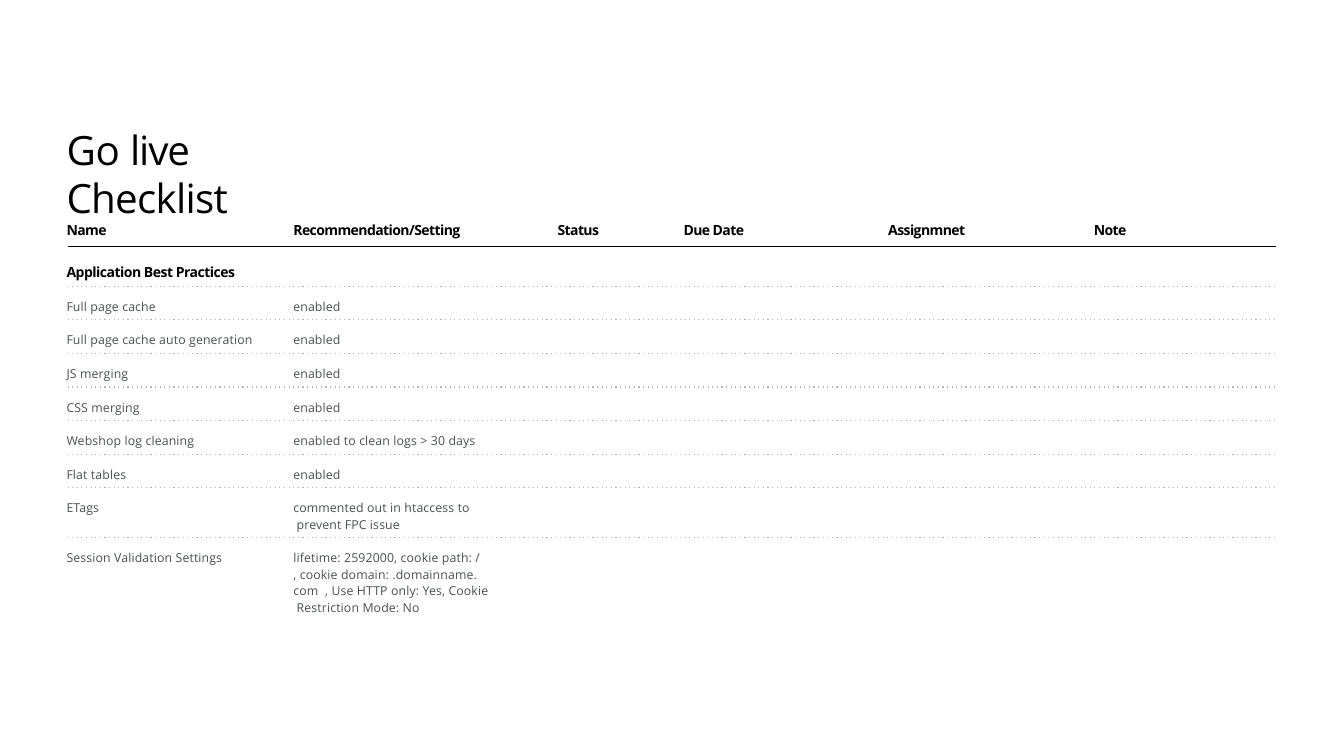
from lxml import etree
from pptx import Presentation
from pptx.dml.color import RGBColor
from pptx.enum.dml import MSO_LINE
from pptx.enum.shapes import MSO_CONNECTOR
from pptx.enum.text import MSO_ANCHOR, MSO_AUTO_SIZE, PP_ALIGN
from pptx.oxml.ns import qn
from pptx.util import Inches, Pt

TITLE = [("Go ", -20), ("live ", -80), ("Checklist", -50)]
HEADERS = ["Name", "Recommendation/Setting", "Status", "Due Date", "Assignmnet", "Note"]
SECTION = "Application Best Practices"
CHECKS = [
    ("Full page cache", ["enabled"]),
    ("Full page cache auto generation", ["enabled"]),
    ("JS merging", ["enabled"]),
    ("CSS merging", ["enabled"]),
    ("Webshop log cleaning", ["enabled to clean logs > 30 days"]),
    ("Flat tables", ["enabled"]),
    ("ETags", ["commented out in htaccess to", " prevent FPC issue"]),
    ("Session Validation Settings", [
        "lifetime: 2592000, cookie path: /",
        ", cookie domain: .domainname.",
        "com  , Use HTTP only: Yes, Cookie",
        " Restriction Mode: No",
    ]),
]

FONT = "Open Sans"
BLACK = RGBColor(0x00, 0x00, 0x00)
RULE_BLACK = RGBColor(0x00, 0x01, 0x01)
BODY_GRAY = RGBColor(0x4B, 0x4F, 0x51)
RULE_GRAY = RGBColor(0xB4, 0xB5, 0xB7)
TOP = MSO_ANCHOR.TOP
LEFT = PP_ALIGN.LEFT
SOLID = MSO_LINE.SOLID
DOTTED = MSO_LINE.ROUND_DOT
STRAIGHT = MSO_CONNECTOR.STRAIGHT
NO_GRID_STYLE = "{2D5ABB26-0587-4C30-8999-92F81FD0307C}"

COLUMN_EDGES = [0.66, 2.91, 5.53, 6.78, 8.81, 10.85, 12.66]
RULE_LEFT, RULE_RIGHT = 0.67, 12.66
TABLE_TOP = 2.15
HEADER_HEIGHT, SECTION_HEIGHT = 0.3, 0.39
BASE_HEIGHT, LINE_HEIGHT = 1 / 3, 0.16
HEADER_SIZE, BODY_SIZE, TITLE_SIZE = 10, 8.8, 28.8


def add_span(para, text, size, color, bold, spacing):
    span = para.add_run()
    span.text = text
    span.font.name = FONT
    span.font.size = Pt(size)
    span.font.bold = bold
    span.font.color.rgb = color
    span.font._element.set("spc", str(spacing))


def add_rule(page, height, color, dash):
    rule = page.shapes.add_connector(
        STRAIGHT, Inches(RULE_LEFT), Inches(height), Inches(RULE_RIGHT), Inches(height))
    rule.line.color.rgb = color
    rule.line.width = Pt(0.82)
    rule.line.dash_style = dash
    if dash == DOTTED:
        rule.line._ln.find(qn("a:prstDash")).set("val", "dot")
    etree.SubElement(rule._element.spPr, qn("a:effectLst"))


def fill_cell(cell, lines, top, size, color, bold, spacing):
    cell.fill.background()
    cell.vertical_anchor = TOP
    cell.margin_left = cell.margin_right = cell.margin_bottom = 0
    cell.margin_top = Inches(top)
    para = cell.text_frame.paragraphs[0]
    for index, line in enumerate(lines):
        if index:
            para.add_line_break()
        add_span(para, line, size, color, bold, spacing)
    if not lines:
        etree.SubElement(para._p, qn("a:endParaRPr"), sz=str(int(size * 100)))


def add_title(page):
    title = page.shapes.title
    title.left, title.top = Inches(0.66), Inches(1.23)
    title.width, title.height = Inches(2.9), Inches(0.5)
    frame = title.text_frame
    frame.margin_left = frame.margin_right = frame.margin_bottom = 0
    frame.margin_top = Inches(0.01)
    frame.word_wrap = True
    frame.auto_size = MSO_AUTO_SIZE.SHAPE_TO_FIT_TEXT
    frame.vertical_anchor = TOP
    para = frame.paragraphs[0]
    para.alignment = LEFT
    for text, spacing in TITLE:
        add_span(para, text, TITLE_SIZE, BLACK, False, spacing)


def add_checklist(page):
    rows = [[[header] for header in HEADERS], [[SECTION]]]
    rows += [[[name], setting] for name, setting in CHECKS]
    heights = [HEADER_HEIGHT, SECTION_HEIGHT]
    heights += [BASE_HEIGHT + LINE_HEIGHT * (len(setting) - 1) for _, setting in CHECKS]

    frame = page.shapes.add_table(
        len(rows), len(HEADERS), Inches(COLUMN_EDGES[0]), Inches(TABLE_TOP),
        Inches(COLUMN_EDGES[-1] - COLUMN_EDGES[0]), Inches(sum(heights)))
    table = frame.table
    table.first_row = table.horz_banding = False
    table._tbl.tblPr.find(qn("a:tableStyleId")).text = NO_GRID_STYLE
    for column, start, end in zip(table.columns, COLUMN_EDGES, COLUMN_EDGES[1:]):
        column.width = Inches(end - start)

    header_look = (0.04, HEADER_SIZE, BLACK, True, -40)
    section_look = (0.15, HEADER_SIZE, BLACK, True, -35)
    check_look = (0.12, BODY_SIZE, BODY_GRAY, False, 10)
    looks = [header_look, section_look] + [check_look] * len(CHECKS)
    bottom = TABLE_TOP
    for row_index, (texts, height, look) in enumerate(zip(rows, heights, looks)):
        table.rows[row_index].height = Inches(height)
        for column_index, cell in enumerate(table.rows[row_index].cells):
            lines = texts[column_index] if column_index < len(texts) else []
            fill_cell(cell, lines, *look)
        bottom += height
        if row_index == 0:
            add_rule(page, bottom, RULE_BLACK, SOLID)
        elif row_index < len(rows) - 1:
            add_rule(page, bottom, RULE_GRAY, DOTTED)


def main():
    deck = Presentation()
    deck.slide_width, deck.slide_height = Inches(13.33), Inches(7.5)
    page = deck.slides.add_slide(deck.slide_layouts[5])
    add_title(page)
    add_checklist(page)
    deck.save("out.pptx")


if __name__ == "__main__":
    main()
